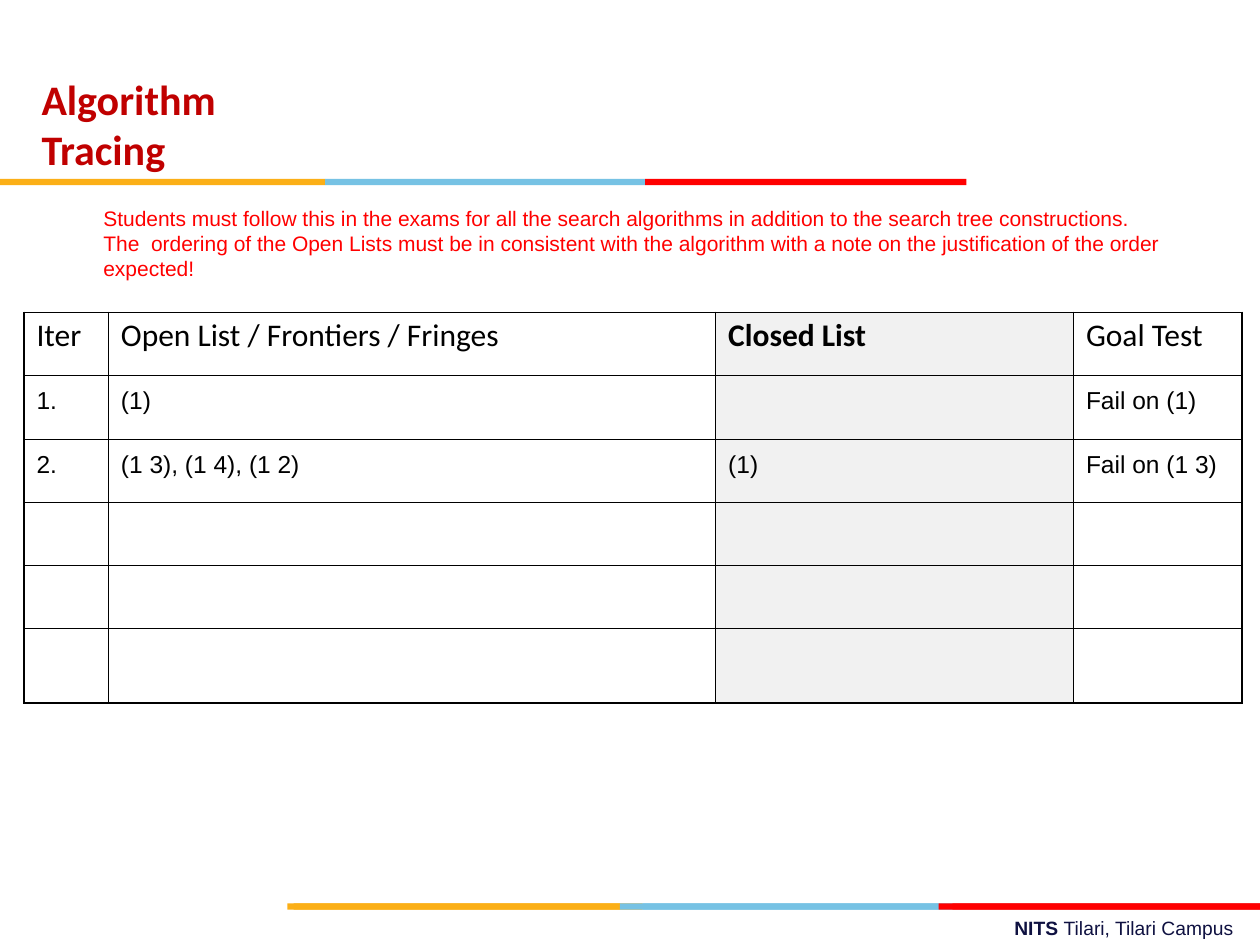
from lxml import etree
from pptx import Presentation
from pptx.dml.color import RGBColor
from pptx.enum.shapes import MSO_SHAPE
from pptx.oxml.ns import qn
from pptx.util import Inches, Pt

RECTANGLE = MSO_SHAPE.RECTANGLE
AMBER, BLUE, RED, DARK_RED = "FBAF17", "76C2E4", "FF0000", "E21C23"
BLACK, GRAY = "000000", "F1F1F1"


def rgb(value):
    return RGBColor.from_string(value)


def add_text(s, box, text, font, size, color):
    """Add a wrapping text box with one paragraph, whose runs are returned."""
    tf = s.shapes.add_textbox(*map(Inches, box)).text_frame
    tf.word_wrap = True
    tf.margin_left = tf.margin_right = tf.margin_bottom = 0
    tf.margin_top = Inches(0.01)
    p = tf.paragraphs[0]
    p.text = text
    for r in p.runs:
        r.font.name, r.font.size = font, Pt(size)
        r.font.color.rgb = rgb(color)
    return p


prs = Presentation()
prs.slide_width, prs.slide_height = Inches(10), Inches(7.5)
s = prs.slides.add_slide(prs.slide_layouts[6])

# Each stripe: top, then the edges between its coloured segments
stripes = [
    (1.42, (0, 2.58, 5.12, 7.67), (AMBER, BLUE, RED)),
    (7.17, (2.28, 5.1, 7.56, 10), (AMBER, BLUE, DARK_RED)),
    (7.17, (2.33, 4.92, 7.45, 10), (AMBER, BLUE, RED)),
]
for top, edges, colors in stripes:
    for left, right, color in zip(edges, edges[1:], colors):
        bar = s.shapes.add_shape(RECTANGLE, Inches(left), Inches(top),
                                 Inches(right - left), Inches(0.05))
        bar.shadow.inherit = False
        bar.fill.solid()
        bar.fill.fore_color.rgb = rgb(color)
        bar.line.fill.background()

title = add_text(s, (0.33, 0.57, 2.16, 0.85), "Algorithm Tracing",
                 "Calibri", 24, "C00000")
title.runs[0].font.bold = True

campus = add_text(s, (8.05, 7.26, 1.92, 0.2), "NITS ", "Arial", 11, "0F1141")
campus.runs[0].font.bold = True
r = campus.add_run()
r.text = "Tilari, Tilari Campus"
r.font.name, r.font.size = "Arial", Pt(11)
r.font.color.rgb = rgb("0F1141")

add_text(s, (0.82, 1.62, 8.48, 0.63),
         "Students must follow this in the exams for all the search algorithms "
         "in addition to the search tree constructions.\v"
         "The  ordering of the Open Lists must be in consistent with the "
         "algorithm with a note on the justification of the order expected!",
         "Arial", 12, RED)

rows = [
    ("Iter", "Open List / Frontiers / Fringes", "Closed List", "Goal Test"),
    ("1.", "(1)", "", "Fail on (1)"),
    ("2.", "(1 3), (1 4), (1 2)", "(1)", "Fail on (1 3)"),
] + [("",) * 4] * 3
col_widths = (0.67, 4.82, 2.84, 1.34)
row_heights = (0.5, 0.51, 0.5, 0.5, 0.5, 0.59)
CLOSED_COL = 2

table = s.shapes.add_table(len(rows), len(col_widths), Inches(0.19), Inches(2.48),
                           Inches(sum(col_widths)), Inches(sum(row_heights))).table
table.first_row = table.horz_banding = False
for column, width in zip(table.columns, col_widths):
    column.width = Inches(width)
for i, (row, height, texts) in enumerate(zip(table.rows, row_heights, rows)):
    row.height = Inches(height)
    font, size, margin_top = ("Calibri", 18, 0.03) if i == 0 else ("Arial", 14, 0.09)
    for j, (cell, text) in enumerate(zip(row.cells, texts)):
        cell.margin_left, cell.margin_top = Inches(0.1), Inches(margin_top)
        cell.margin_right = cell.margin_bottom = 0
        p = cell.text_frame.paragraphs[0]
        p.text = text
        p.font.size = Pt(size)
        for r in p.runs:
            r.font.name, r.font.size = font, Pt(size)
            r.font.bold = i == 0 and j == CLOSED_COL
            r.font.color.rgb = rgb(BLACK)
        tc_pr = cell._tc.get_or_add_tcPr()
        for side in ("a:lnL", "a:lnR", "a:lnT", "a:lnB"):
            ln = etree.SubElement(tc_pr, qn(side), w=str(Pt(1)))
            fill = etree.SubElement(ln, qn("a:solidFill"))
            etree.SubElement(fill, qn("a:srgbClr"), val=BLACK)
        if j == CLOSED_COL:
            cell.fill.solid()
            cell.fill.fore_color.rgb = rgb(GRAY)
        else:
            cell.fill.background()

prs.save("out.pptx")
